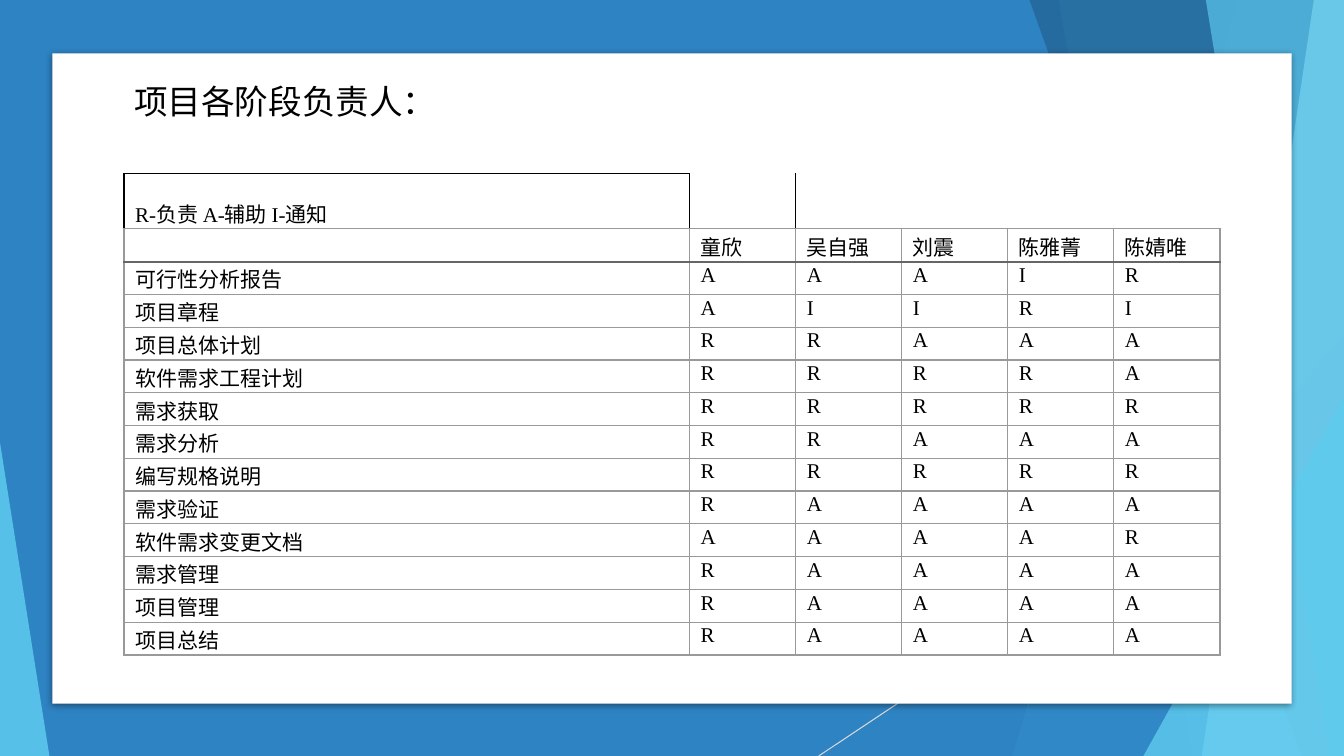
from collections import namedtuple
from dataclasses import dataclass

from lxml.etree import SubElement
from pptx import Presentation
from pptx.dml.color import RGBColor
from pptx.enum.shapes import MSO_CONNECTOR, MSO_SHAPE
from pptx.enum.text import MSO_ANCHOR, PP_ALIGN
from pptx.oxml.ns import qn
from pptx.util import Inches, Pt

Box = namedtuple("Box", "left top width height")
Border = namedtuple("Border", "color points")


@dataclass(frozen=True)
class Theme:
    blue: str = "2E83C3"
    navy: str = "226292"
    cyan: str = "5FCBEF"
    pale: str = "9FE0F5"
    white: str = "FFFFFF"
    text: str = "000000"
    ray: str = "D9D9D9"
    grid: Border = Border("999999", 1)
    header_rule: Border = Border("666666", 1.5)
    legend_frame: Border = Border("000000", 1)
    title_size: float = 24
    table_size: float = 15
    chinese_font: str = "Noto Sans CJK SC"
    latin_font: str = "Times New Roman"


THEME = Theme()
NO_STYLE = "{2D5ABB26-0587-4C30-8999-92F81FD0307C}"
LEGEND = "R-负责 A-辅助 I-通知"
PEOPLE = ["童欣", "吴自强", "刘震", "陈雅菁", "陈婧唯"]
DUTIES = [
    ("可行性分析报告", "AAAIR"),
    ("项目章程", "AIIRI"),
    ("项目总体计划", "RRAAA"),
    ("软件需求工程计划", "RRRRA"),
    ("需求获取", "RRRRR"),
    ("需求分析", "RRAAA"),
    ("编写规格说明", "RRRRR"),
    ("需求验证", "RAAAA"),
    ("软件需求变更文档", "AAAAR"),
    ("需求管理", "RAAAA"),
    ("项目管理", "RAAAA"),
    ("项目总结", "RAAAA"),
]


def paint(shape, color, opacity=100):
    shape.shadow.inherit = False
    shape.fill.solid()
    shape.fill.fore_color.rgb = RGBColor.from_string(color)
    shape.line.fill.background()
    if opacity < 100:
        tint = shape.fill._xPr.find(qn("a:solidFill"))[0]
        SubElement(tint, qn("a:alpha"), val=str(opacity * 1000))


def style_text(para, text, size, latin_font, alignment):
    para.text = text
    para.alignment = alignment
    font = para.font
    font.size = Pt(size)
    font.name = latin_font
    font.color.rgb = RGBColor.from_string(THEME.text)
    SubElement(font._element, qn("a:ea"), typeface=THEME.chinese_font)


def add_rectangle(page, box, color):
    shape = page.shapes.add_shape(MSO_SHAPE.RECTANGLE, *map(Inches, box))
    paint(shape, color)
    return shape


def draw_backdrop(page, box):
    right = box.left + box.width
    bottom = box.top + box.height

    def band(top_inset, bottom_inset, color, opacity):
        corners = [
            (right - top_inset, box.top),
            (right, box.top),
            (right, bottom),
            (right - bottom_inset, bottom),
        ]
        points = [(Inches(x), Inches(y)) for x, y in corners]
        builder = page.shapes.build_freeform(*points[0])
        builder.add_line_segments(points[1:], close=True)
        paint(builder.convert_to_shape(), color, opacity)

    def wedge(left, width, height, apex, color, opacity):
        shape = page.shapes.add_shape(
            MSO_SHAPE.ISOSCELES_TRIANGLE,
            *map(Inches, (left, bottom - height, width, height)),
        )
        shape.adjustments[0] = apex
        paint(shape, color, opacity)

    add_rectangle(page, box, THEME.blue)
    ray = page.shapes.add_connector(
        MSO_CONNECTOR.STRAIGHT,
        *map(Inches, (right, bottom - 3.47, right - 5.21, bottom)),
    )
    ray.line.color.rgb = RGBColor.from_string(THEME.ray)
    ray.line.width = Pt(0.75)
    SubElement(ray._element.spPr, qn("a:effectLst"))
    band(1.05, 3.29, THEME.cyan, 30)
    band(2.83, 1.5, THEME.cyan, 20)
    wedge(right - 3.56, 3.56, 4.17, 1, THEME.blue, 72)
    band(3.12, 0.42, THEME.navy, 70)
    band(0.3, 1.41, THEME.pale, 70)
    band(1.37, 0.15, THEME.cyan, 65)
    wedge(right - 1.99, 1.99, 3.57, 1, THEME.cyan, 80)
    wedge(box.left, 0.49, 3.11, 0, THEME.cyan, 85)


def draw_panel(page, box):
    panel = add_rectangle(page, box, THEME.white)
    effects = panel._element.spPr.find(qn("a:effectLst"))
    shadow = SubElement(
        effects, qn("a:outerShdw"),
        blurRad=str(Pt(5)), dist=str(Pt(1.4)), dir="5400000", rotWithShape="0",
    )
    shade = SubElement(shadow, qn("a:srgbClr"), val=THEME.text)
    SubElement(shade, qn("a:alpha"), val="43000")


def draw_title(page, box):
    title = page.shapes.title
    title.left, title.top, title.width, title.height = map(Inches, box)
    frame = title.text_frame
    frame.word_wrap = False
    frame.vertical_anchor = MSO_ANCHOR.TOP
    style_text(frame.paragraphs[0], "项目各阶段负责人：", THEME.title_size,
               THEME.chinese_font, PP_ALIGN.LEFT)
    page.shapes._spTree.append(title._element)


def set_borders(cell, borders):
    properties = cell._tc.get_or_add_tcPr()
    for side in "LRTB":
        if side in borders:
            color, points = borders[side]
            line = SubElement(properties, qn(f"a:ln{side}"), w=str(Pt(points)))
            fill = SubElement(line, qn("a:solidFill"))
            SubElement(fill, qn("a:srgbClr"), val=color)


def borders_for(row, column):
    if row == 0:
        borders = {"B": THEME.grid}
        if column == 0:
            borders.update(dict.fromkeys("LRT", THEME.legend_frame))
        elif column == 1:
            borders["L"] = THEME.legend_frame
        return borders
    borders = dict.fromkeys("LRTB", THEME.grid)
    if row in (1, 2):
        borders["B" if row == 1 else "T"] = THEME.header_rule
    return borders


def draw_duty_table(page, box):
    blanks = [""] * len(PEOPLE)
    rows = [[LEGEND, *blanks], ["", *PEOPLE]]
    rows += [[stage, *roles] for stage, roles in DUTIES]
    table = page.shapes.add_table(
        len(rows), len(rows[0]), *map(Inches, box)).table
    table.first_row = table.horz_banding = False
    table._tbl.tblPr.find(qn("a:tableStyleId")).text = NO_STYLE

    stage_width, legend_height = 5.61, 0.55
    person_width = (box.width - stage_width) / len(PEOPLE)
    row_height = (box.height - legend_height) / (len(rows) - 1)
    for index, column in enumerate(table.columns):
        column.width = Inches(person_width if index else stage_width)
    for index, row in enumerate(table.rows):
        row.height = Inches(row_height if index else legend_height)

    for row, texts in enumerate(rows):
        for column, text in enumerate(texts):
            cell = table.cell(row, column)
            cell.margin_left = cell.margin_right = Inches(0.11)
            cell.margin_top, cell.margin_bottom = Inches(0.02), 0
            cell.vertical_anchor = MSO_ANCHOR.TOP if row else MSO_ANCHOR.BOTTOM
            set_borders(cell, borders_for(row, column))
            cell.fill.background()
            style_text(cell.text_frame.paragraphs[0], text, THEME.table_size,
                       THEME.latin_font, PP_ALIGN.JUSTIFY)


def main():
    deck = Presentation()
    deck.slide_width, deck.slide_height = Inches(13.33), Inches(7.5)
    page = deck.slides.add_slide(deck.slide_layouts[5])
    draw_backdrop(page, Box(0, 0, 13.33, 7.5))
    draw_panel(page, Box(0.52, 0.53, 12.29, 6.45))
    draw_duty_table(page, Box(1.23, 1.72, 10.87, 4.78))
    draw_title(page, Box(1.23, 0.75, 3.23, 0.5))
    deck.save("out.pptx")


if __name__ == "__main__":
    main()
